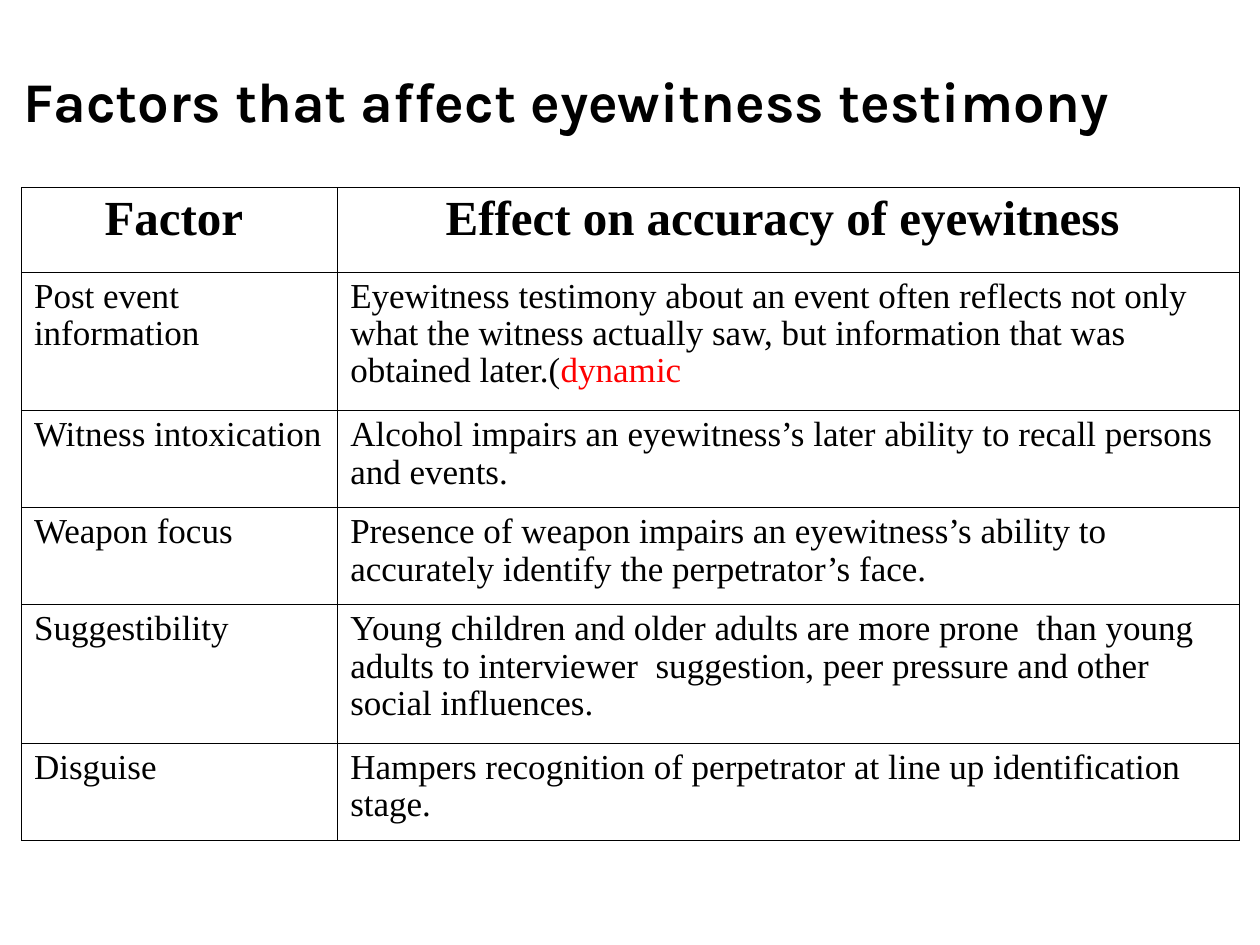
import pptx
import pptx.util
import pptx.dml.color
import pptx.enum.text
import pptx.oxml
import pptx.oxml.ns
from pptx.util import Inches

COLORS = {"text": "000000", "accent": "FF0000", "border": "000000"}
ALIGN = pptx.enum.text.PP_ALIGN
ANCHOR = pptx.enum.text.MSO_ANCHOR

TITLE = {"name": "Karla", "size": pptx.util.Pt(32), "bold": True}
HEADER = {"name": "Times New Roman", "size": pptx.util.Pt(28), "bold": True}
BODY = {"name": "Times New Roman", "size": pptx.util.Pt(20), "bold": False}
MARGINS = {"margin_left": Inches(0.1), "margin_right": Inches(0.1),
           "margin_top": Inches(0.05), "margin_bottom": Inches(0.05)}

COL_SHARES = [2.51, 7.16]
ROW_HEIGHTS = [0.67, 1.1, 0.77, 0.77, 1.1, 0.77]
# Each cell is a list of (text, colour) runs.
ROWS = [[[(text, "text")] for text in row] for row in [
    ("Factor ", "Effect on accuracy of eyewitness "),
    ("Post event information",
     "Eyewitness testimony about an event often reflects not only what the "
     "witness actually saw, but information that was obtained later.("),
    ("Witness intoxication",
     "Alcohol impairs an eyewitness’s later ability to recall persons and events."),
    ("Weapon focus",
     "Presence of weapon impairs an eyewitness’s ability to accurately identify "
     "the perpetrator’s face."),
    ("Suggestibility",
     "Young children and older adults are more prone  than young adults to "
     "interviewer  suggestion, peer pressure and other social influences."),
    ("Disguise",
     "Hampers recognition of perpetrator at line up identification stage."),
]]
ROWS[1][1].append(("dynamic", "accent"))


def set_all(obj, values):
    for name, value in values.items():
        setattr(obj, name, value)


def write(p, runs, font, **paragraph_format):
    set_all(p, paragraph_format)
    for text, color in runs:
        r = p.add_run()
        r.text = text
        set_all(r.font, font)
        r.font.color.rgb = pptx.dml.color.RGBColor.from_string(COLORS[color])


def add_borders(cell, width=pptx.util.Pt(0.45)):
    tc_pr = cell._tc.get_or_add_tcPr()
    for i, side in enumerate("LRTB"):
        tc_pr.insert(i, pptx.oxml.parse_xml(
            f'<a:ln{side} {pptx.oxml.ns.nsdecls("a")} w="{int(width)}"><a:solidFill>'
            f'<a:srgbClr val="{COLORS["border"]}"/></a:solidFill></a:ln{side}>'))


def add_title(slide, left, top, width, height):
    tf = slide.shapes.add_textbox(left, top, width, height).text_frame
    set_all(tf, {"word_wrap": True, "vertical_anchor": ANCHOR.MIDDLE, **MARGINS})
    write(tf.paragraphs[0], [("Factors that affect eyewitness testimony", "text")],
          TITLE, alignment=ALIGN.CENTER)


def add_factor_table(slide, left, top, width, height):
    table = slide.shapes.add_table(len(ROWS), len(COL_SHARES),
                                   left, top, width, height).table
    set_all(table, {"first_row": False, "horz_banding": False})
    for col, share in zip(table.columns, COL_SHARES):
        col.width = int(width * share / sum(COL_SHARES))
    for row, share in zip(table.rows, ROW_HEIGHTS):
        row.height = int(height * share / sum(ROW_HEIGHTS))
    for i, row in enumerate(ROWS):
        font, align = (BODY, ALIGN.LEFT) if i else (HEADER, ALIGN.CENTER)
        for j, runs in enumerate(row):
            cell = table.cell(i, j)
            set_all(cell, MARGINS)
            cell.fill.background()
            add_borders(cell)
            write(cell.text_frame.paragraphs[0], runs, font,
                  alignment=align, line_spacing=0.96)


def main():
    prs = pptx.Presentation()
    set_all(prs, {"slide_width": Inches(10), "slide_height": Inches(7.5)})
    slide = prs.slides.add_slide(prs.slide_layouts[6])
    add_factor_table(slide, Inches(0.17), Inches(1.49), Inches(9.67), Inches(5.18))
    add_title(slide, Inches(0), Inches(0.42), Inches(9), Inches(0.75))
    prs.save("out.pptx")


if __name__ == "__main__":
    main()
